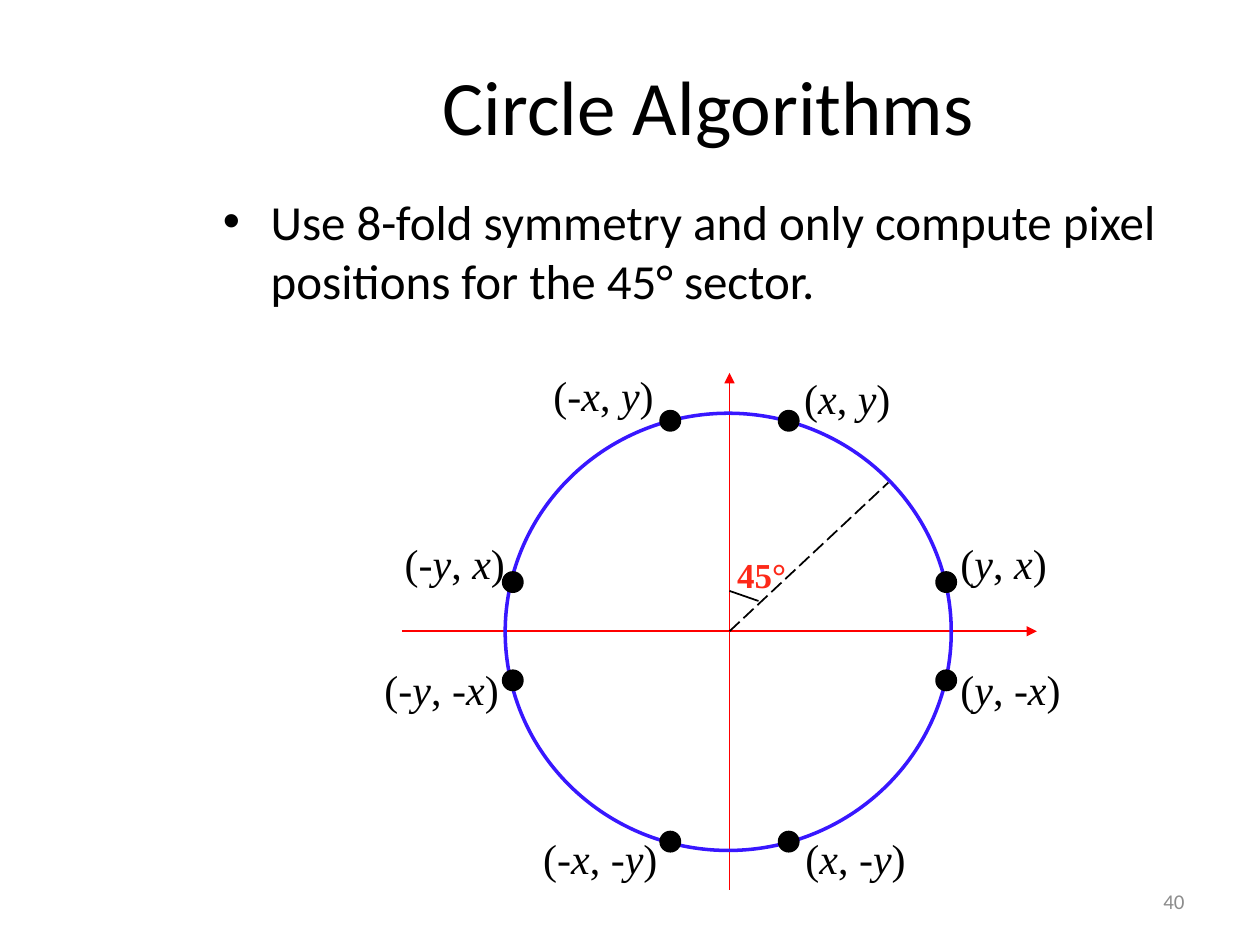
"""Build the slide on eight-fold circle symmetry."""
from itertools import product

from lxml import etree
from pptx import Presentation
from pptx.dml.color import RGBColor
from pptx.enum.dml import MSO_LINE
from pptx.enum.shapes import MSO_CONNECTOR, MSO_SHAPE
from pptx.enum.text import MSO_ANCHOR, PP_ALIGN
from pptx.oxml.ns import qn
from pptx.util import Inches, Pt

OVAL = MSO_SHAPE.OVAL
STRAIGHT = MSO_CONNECTOR.STRAIGHT
LONG_DASH = MSO_LINE.LONG_DASH
MIDDLE, TOP = MSO_ANCHOR.MIDDLE, MSO_ANCHOR.TOP
LEFT, CENTER, RIGHT = PP_ALIGN.LEFT, PP_ALIGN.CENTER, PP_ALIGN.RIGHT


class Theme:
    sans, serif = "Calibri", "Times New Roman"
    black = RGBColor(0x00, 0x00, 0x00)
    gray = RGBColor(0x8C, 0x8C, 0x8C)
    axis = RGBColor(0xFF, 0x00, 0x00)
    circle = RGBColor(0x38, 0x17, 0xFF)
    angle = RGBColor(0xFD, 0x29, 0x19)
    title, body, label, angle_size, number = Pt(44), Pt(28), Pt(24), Pt(20), Pt(12)


presentation = Presentation()
presentation.slide_width, presentation.slide_height = Inches(10), Inches(7.5)
slide = presentation.slides.add_slide(presentation.slide_layouts[5])


def add_line(start, end, color, dash=None, arrow=False):
    connector = slide.shapes.add_connector(STRAIGHT, *map(Inches, start + end))
    connector.line.color.rgb = color
    connector.line.width = Pt(1)
    if dash:
        connector.line.dash_style = dash
    properties = connector._element.spPr
    if arrow:
        etree.SubElement(properties.find(qn("a:ln")), qn("a:tailEnd"), type="triangle")
    etree.SubElement(properties, qn("a:effectLst"))


def add_text(box, parts, font, size, color, align=CENTER, wrap=False, anchor=TOP):
    frame = slide.shapes.add_textbox(*map(Inches, box)).text_frame
    frame.word_wrap = wrap
    frame.vertical_anchor = anchor
    paragraph = frame.paragraphs[0]
    paragraph.alignment = align
    for index, part in enumerate(parts.split("|")):
        run = paragraph.add_run()
        run.text = part
        if index % 2:
            run.font.italic = True
    paragraph.font.name, paragraph.font.size = font, size
    paragraph.font.color.rgb = color
    return paragraph


title = slide.shapes.title
title.left, title.top, title.width, title.height = map(Inches, (1.5, 0.21, 8.25, 1.25))
title.text_frame.text = "Circle Algorithms"
title.text_frame.vertical_anchor = MIDDLE
heading = title.text_frame.paragraphs[0]
heading.alignment = CENTER
heading.font.name, heading.font.size = Theme.sans, Theme.title
heading.font.color.rgb = Theme.black

bullet = add_text(
    (1.67, 1.47, 8.33, 1.26),
    "Use 8-fold symmetry and only compute pixel positions for the 45° sector.",
    Theme.sans, Theme.body, Theme.black, LEFT, wrap=True)
bullet_properties = bullet._p.get_or_add_pPr()
bullet_properties.set("marL", str(Inches(0.38)))
bullet_properties.set("indent", str(Inches(-0.38)))
bullet_font = etree.Element(qn("a:buFont"), typeface="Arial")
bullet_mark = etree.Element(qn("a:buChar"), char="•")
bullet_properties.insert(0, bullet_font)
bullet_properties.insert(1, bullet_mark)

add_text((7.17, 6.95, 2.33, 0.4), "40", Theme.sans, Theme.number, Theme.gray,
         RIGHT, wrap=True, anchor=MIDDLE)

center_x, center_y = 5.79, 5.01
add_line((center_x, 7.06), (center_x, 2.96), Theme.axis, arrow=True)
add_line((3.19, center_y), (8.23, center_y), Theme.axis, arrow=True)

circle = slide.shapes.add_shape(OVAL, *map(Inches, (4.01, 3.28, 3.54, 3.47)))
circle.shadow.inherit = False
circle.fill.background()
circle.line.color.rgb = Theme.circle
circle.line.width = Pt(2)

add_line((center_x, center_y), (7.05, 3.83), Theme.black, dash=LONG_DASH)
add_line((center_x, 4.69), (6.02, 4.77), Theme.black)
angle = add_text((5.75, 4.34, 0.59, 0.43), "45°", Theme.serif, Theme.angle_size, Theme.angle)
angle.font.bold = True

dot_size = 0.16
offsets = ((0.47, 1.67), (1.72, 0.39))
for (offset_x, offset_y), sign_x, sign_y in product(offsets, (1, -1), (1, -1)):
    left = center_x + sign_x * offset_x - dot_size / 2
    top = center_y + sign_y * offset_y - dot_size / 2
    dot = slide.shapes.add_shape(OVAL, *map(Inches, (left, top, dot_size, dot_size)))
    dot.shadow.inherit = False
    dot.fill.solid()
    dot.fill.fore_color.rgb = dot.line.color.rgb = Theme.black
    dot.line.width = Pt(1)

labels = (
    (6.28, 2.91, 0.89, "(|x|, |y|)"),
    (4.29, 2.88, 1, "(-|x|, |y|)"),
    (7.52, 4.22, 0.89, "(|y|, |x|)"),
    (3.11, 4.22, 1, "(-|y|, |x|)"),
    (7.52, 5.22, 1, "(|y|, |-x|)"),
    (2.95, 5.22, 1.11, "(|-y|, |-x|)"),
    (6.29, 6.56, 1, "(|x|, -|y|)"),
    (4.21, 6.56, 1.11, "(-|x|, -|y|)"),
)
for left, top, width, parts in labels:
    add_text((left, top, width, 0.5), parts, Theme.serif, Theme.label, Theme.black)

presentation.save("out.pptx")
